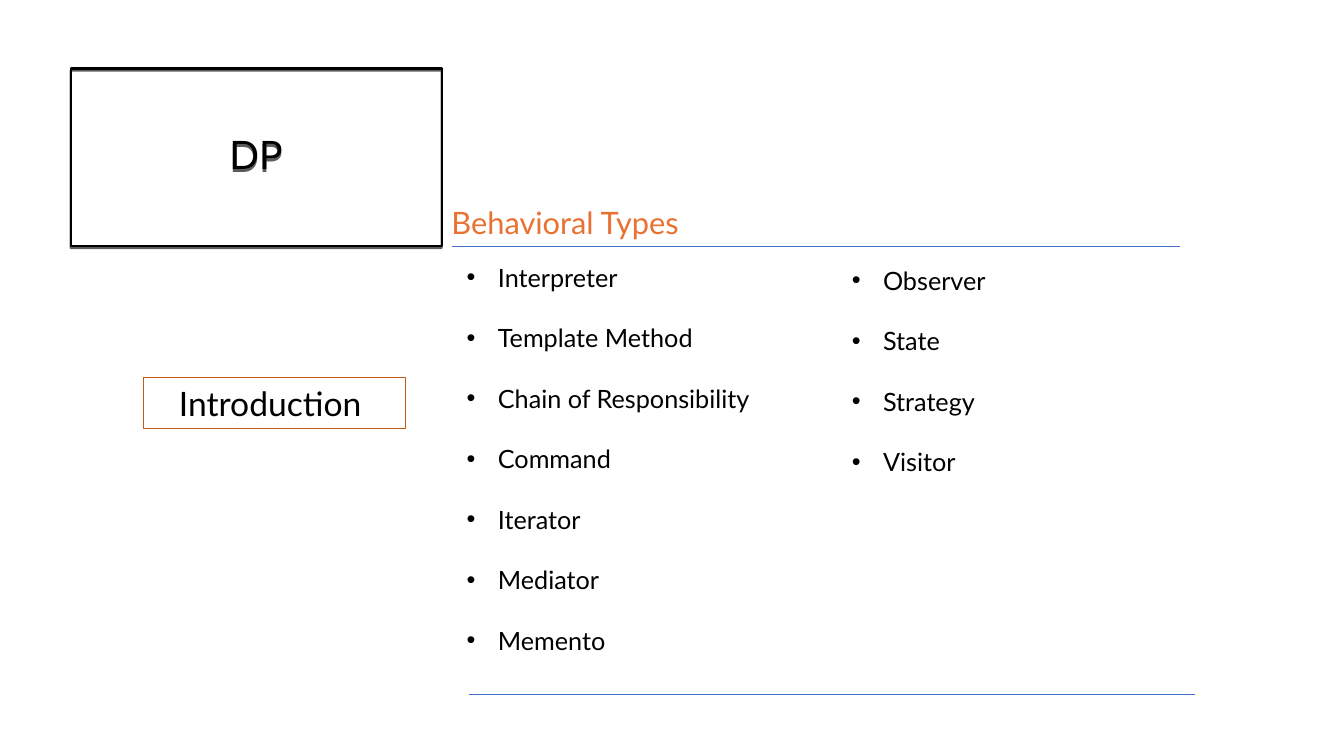
"""Build the slide listing the behavioral design patterns."""
from dataclasses import dataclass

import lxml.etree
import pptx
import pptx.dml.color
import pptx.enum.shapes
import pptx.enum.text
import pptx.oxml.ns
import pptx.util

PX = 9144
ALIGN = pptx.enum.text.PP_ALIGN
ANCHOR = pptx.enum.text.MSO_ANCHOR
qn = pptx.oxml.ns.qn


@dataclass(frozen=True)
class Theme:
    font: str = "Lato"
    text: str = "000000"
    heading: str = "E97132"
    rule: str = "4472C4"
    box: str = "C55A11"
    title_pt: int = 28
    label_pt: int = 24
    heading_pt: int = 22
    list_pt: int = 18
    list_gap_pt: float = 21.6


@dataclass(frozen=True)
class Box:
    left: int
    top: int
    width: int
    height: int

    def emu(self) -> tuple[int, ...]:
        return tuple(v * PX for v in (self.left, self.top, self.width, self.height))


@dataclass(frozen=True)
class Rule:
    left: int
    top: int
    width: int


@dataclass(frozen=True)
class PatternList:
    box: Box
    names: tuple[str, ...]


THEME = Theme()
RULES = (Rule(448, 244, 722), Rule(465, 689, 720))
PATTERN_LISTS = (
    PatternList(Box(453, 255, 331, 404), (
        "Interpreter", "Template Method", "Chain of Responsibility",
        "Command", "Iterator", "Mediator", "Memento")),
    PatternList(Box(835, 258, 318, 222), (
        "Observer", "State", "Strategy", "Visitor")),
)


def rgb(color: str) -> pptx.dml.color.RGBColor:
    return pptx.dml.color.RGBColor.from_string(color)


def set_line(line, color: str, width: float) -> None:
    line.color.rgb = rgb(color)
    line.width = pptx.util.Pt(width)


def format_text(tf, size: int, color: str, align=ALIGN.LEFT) -> None:
    tf.word_wrap = True
    for p in tf.paragraphs:
        p.alignment = align
        for r in p.runs:
            r.font.name = THEME.font
            r.font.size = pptx.util.Pt(size)
            r.font.color.rgb = rgb(color)


def add_shadow(sp) -> None:
    sp.shadow.inherit = False
    effects = sp._element.spPr.find(qn("a:effectLst"))
    shadow = lxml.etree.SubElement(
        effects, qn("a:outerShdw"), blurRad="0", dist="19050", dir="5400000", rotWithShape="0")
    color = lxml.etree.SubElement(shadow, qn("a:srgbClr"), val=THEME.text)
    lxml.etree.SubElement(color, qn("a:alpha"), val="63000")


def draw_title(s) -> None:
    sp = s.shapes.title
    sp.left, sp.top, sp.width, sp.height = Box(70, 68, 368, 176).emu()
    set_line(sp.line, THEME.text, 1.5)
    add_shadow(sp)
    tf = sp.text_frame
    tf.text = "DP"
    tf.vertical_anchor = ANCHOR.MIDDLE
    tf.paragraphs[0].line_spacing = 0.9
    format_text(tf, THEME.title_pt, THEME.text, ALIGN.CENTER)


def draw_rule(s, rule: Rule) -> None:
    y = rule.top * PX
    line = s.shapes.add_connector(
        pptx.enum.shapes.MSO_CONNECTOR.STRAIGHT,
        rule.left * PX, y, (rule.left + rule.width) * PX, y)
    set_line(line.line, THEME.rule, 0.5)
    lxml.etree.SubElement(line._element.spPr, qn("a:effectLst"))


def draw_label(s) -> None:
    sp = s.shapes.add_shape(
        pptx.enum.shapes.MSO_SHAPE.RECTANGLE, *Box(142, 375, 260, 50).emu())
    sp.shadow.inherit = False
    sp.fill.background()
    set_line(sp.line, THEME.box, 0.75)
    tf = sp.text_frame
    tf.text = "Introduction"
    tf.vertical_anchor = ANCHOR.TOP
    tf.margin_right = 18 * PX
    format_text(tf, THEME.label_pt, THEME.text, ALIGN.CENTER)


def draw_heading(s) -> None:
    tf = s.shapes.add_textbox(*Box(438, 197, 667, 47).emu()).text_frame
    tf.text = "Behavioral Types"
    format_text(tf, THEME.heading_pt, THEME.heading)


def draw_patterns(s, patterns: PatternList) -> None:
    tf = s.shapes.add_textbox(*patterns.box.emu()).text_frame
    tf.text = "\n".join(patterns.names)
    for i, p in enumerate(tf.paragraphs):
        if i:
            p.space_before = pptx.util.Pt(THEME.list_gap_pt)
        pPr = p._p.get_or_add_pPr()
        pPr.set("marL", str(31 * PX))
        pPr.set("indent", str(-31 * PX))
        lxml.etree.SubElement(pPr, qn("a:buFont"), typeface="Arial")
        lxml.etree.SubElement(pPr, qn("a:buChar"), char="•")
    format_text(tf, THEME.list_pt, THEME.text)


def main() -> None:
    prs = pptx.Presentation()
    prs.slide_width, prs.slide_height = 1333 * PX, 750 * PX
    s = prs.slides.add_slide(prs.slide_layouts[5])
    draw_title(s)
    for rule in RULES:
        draw_rule(s, rule)
    draw_label(s)
    draw_heading(s)
    for patterns in PATTERN_LISTS:
        draw_patterns(s, patterns)
    prs.save("out.pptx")


if __name__ == "__main__":
    main()
